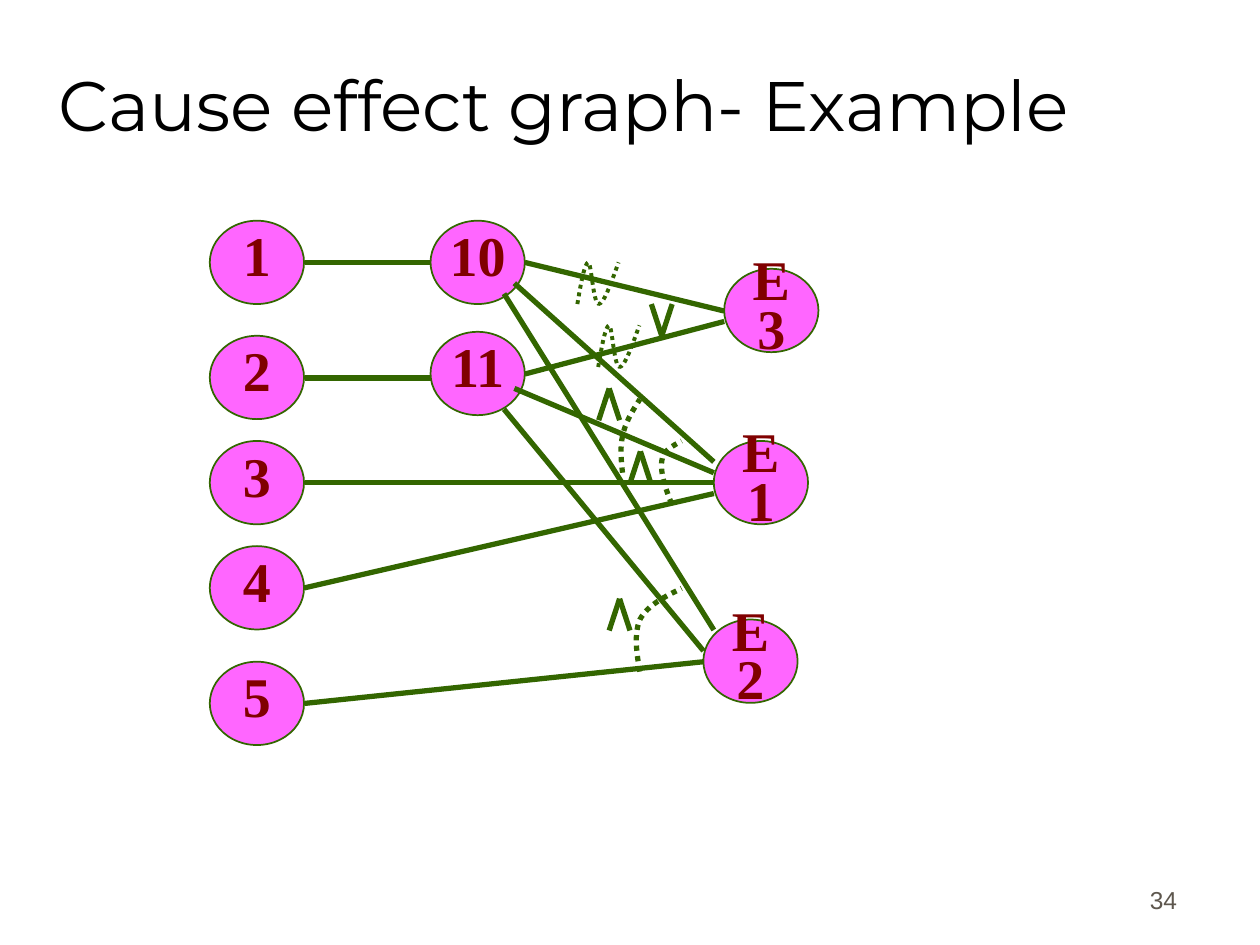
from lxml.etree import SubElement
from pptx import Presentation
from pptx.dml.color import RGBColor
from pptx.enum.dml import MSO_LINE
from pptx.enum.shapes import MSO_CONNECTOR, MSO_SHAPE
from pptx.enum.text import MSO_ANCHOR as ANCHOR, PP_ALIGN as ALIGN
from pptx.oxml.ns import qn
from pptx.util import Cm, Pt

PINK = RGBColor(0xFF, 0x66, 0xFF)
GREEN = RGBColor(0x33, 0x66, 0x00)
MAROON = RGBColor(0x80, 0x00, 0x00)
BLACK = RGBColor(0x00, 0x00, 0x00)
GREY = RGBColor(0x5E, 0x57, 0x4E)


def set_text(s, text, font, size, color, align, anchor, inset, before):
    tf = s.text_frame
    tf.text = text
    tf.word_wrap = True
    tf.vertical_anchor = anchor
    tf.margin_left = tf.margin_right = Cm(inset)
    tf.margin_top = tf.margin_bottom = Cm(0.13)
    p = tf.paragraphs[0]
    p.alignment = align
    p.space_before = Pt(before)
    r = p.runs[0]
    r.font.name = font
    r.font.size = Pt(size)
    r.font.color.rgb = color
    return p


def add_line(x1, y1, x2, y2):
    c = shapes.add_connector(MSO_CONNECTOR.STRAIGHT, Cm(x1), Cm(y1), Cm(x2), Cm(y2))
    c.line.color.rgb = GREEN
    c.line.width = Pt(3)
    SubElement(c._element.spPr, qn("a:effectLst"))


prs = Presentation()
prs.slide_width, prs.slide_height = Cm(25.4), Cm(19.05)
shapes = prs.slides.add_slide(prs.slide_layouts[6]).shapes

number = shapes.add_textbox(Cm(18.7), Cm(17.3), Cm(5.28), Cm(1.27))
set_text(number, "34", "Arial", 14, GREY, ALIGN.RIGHT, ANCHOR.BOTTOM, 0.25, 8.8)
title = shapes.add_textbox(Cm(1.13), Cm(0.49), Cm(21.59), Cm(3.18))
set_text(title, "Cause effect graph- Example", "Montserrat", 40, BLACK,
         ALIGN.LEFT, ANCHOR.MIDDLE, 0.05, 5.2)

nodes = [
    ("10", 8.68, 4.45), ("11", 8.68, 6.69),
    ("E3", 14.6, 5.42), ("E1", 14.39, 8.89), ("E2", 14.18, 12.49),
    ("1", 4.23, 4.45), ("2", 4.23, 6.77), ("3", 4.23, 8.89),
    ("4", 4.23, 11.01), ("5", 4.23, 13.34),
]
for label, x, y in nodes:
    s = shapes.add_shape(MSO_SHAPE.OVAL, Cm(x), Cm(y), Cm(1.9), Cm(1.68))
    s.shadow.inherit = False
    s.fill.solid()
    s.fill.fore_color.rgb = PINK
    s.line.color.rgb = GREEN
    s.line.width = Pt(1)
    p = set_text(s, label, "Times New Roman", 32, MAROON,
                 ALIGN.CENTER, ANCHOR.MIDDLE, 0.05, 7.1)
    p.line_spacing = 0.72
    p.runs[0].font.bold = True

links = [
    (10.58, 5.29, 14.6, 6.27), (10.58, 7.54, 14.6, 6.48),
    (6.14, 5.29, 8.68, 5.29), (6.14, 7.62, 8.68, 7.62),
    (6.14, 9.73, 14.39, 9.73), (6.14, 11.85, 14.39, 9.95),
    (6.14, 14.18, 14.18, 13.34),
    (10.16, 8.25, 14.18, 13.12), (10.16, 5.92, 14.39, 12.7),
    (10.37, 7.83, 14.39, 9.53), (10.37, 5.71, 14.39, 9.31),
]
for link in links:
    add_line(*link)

wave = [(11.64, 6.13), (11.71, 5.71), (11.79, 5.29), (11.86, 5.29),
        (11.92, 5.29), (11.96, 6.13), (12.07, 6.13),
        (12.17, 6.13), (12.32, 5.71), (12.47, 5.29)]
curves = [
    (2.25, wave),
    (2.25, [(x + 0.42, y + 1.27) for x, y in wave]),
    (3, [(12.9, 13.54), (12.83, 13.16), (12.78, 12.78), (12.9, 12.49),
         (13.06, 12.19), (13.41, 12.03), (13.74, 11.86)]),
    (3, [(13.54, 10.16), (13.41, 9.83), (13.31, 9.53), (13.34, 9.3),
         (13.36, 9.09), (13.56, 8.99), (13.74, 8.89)]),
    (3, [(12.55, 9.53), (12.52, 9.27), (12.5, 9.02), (12.55, 8.79),
         (12.6, 8.53), (12.75, 8.28), (12.9, 8.05)]),
]
for width, controls in curves:
    start, *rest = [(Cm(x), Cm(y)) for x, y in controls]
    builder = shapes.build_freeform(*start)
    builder.add_line_segments(rest, close=False)
    s = builder.convert_to_shape()
    outline = next(s._element.iter(qn("a:path")))
    segments = outline.findall(qn("a:lnTo"))
    for i in range(0, len(segments), 3):
        bezier = SubElement(outline, qn("a:cubicBezTo"))
        for segment in segments[i:i + 3]:
            bezier.append(segment[0])
            outline.remove(segment)
    s.shadow.inherit = False
    s.fill.background()
    s.line.color.rgb = GREEN
    s.line.width = Pt(width)
    s.line.dash_style = MSO_LINE.ROUND_DOT

operators = [(12.28, 7.83, 0.64), (12.91, 9.1, 0.64), (12.49, 12.07, 0.64),
             (13.34, 6.77, -0.64)]
for x, y, height in operators:
    for dx in (-0.21, 0.21):
        add_line(x + dx, y + height, x, y)

prs.save("out.pptx")
